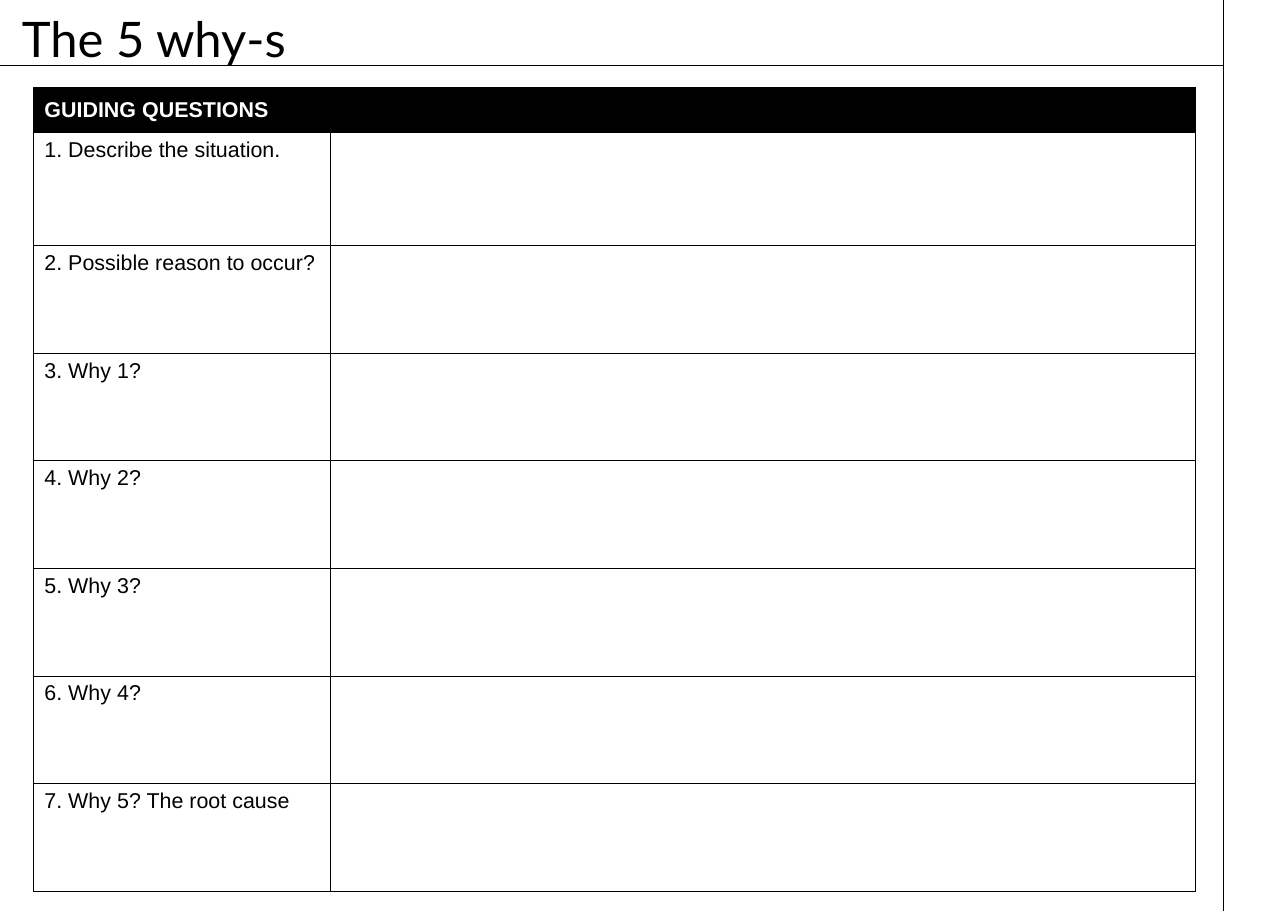
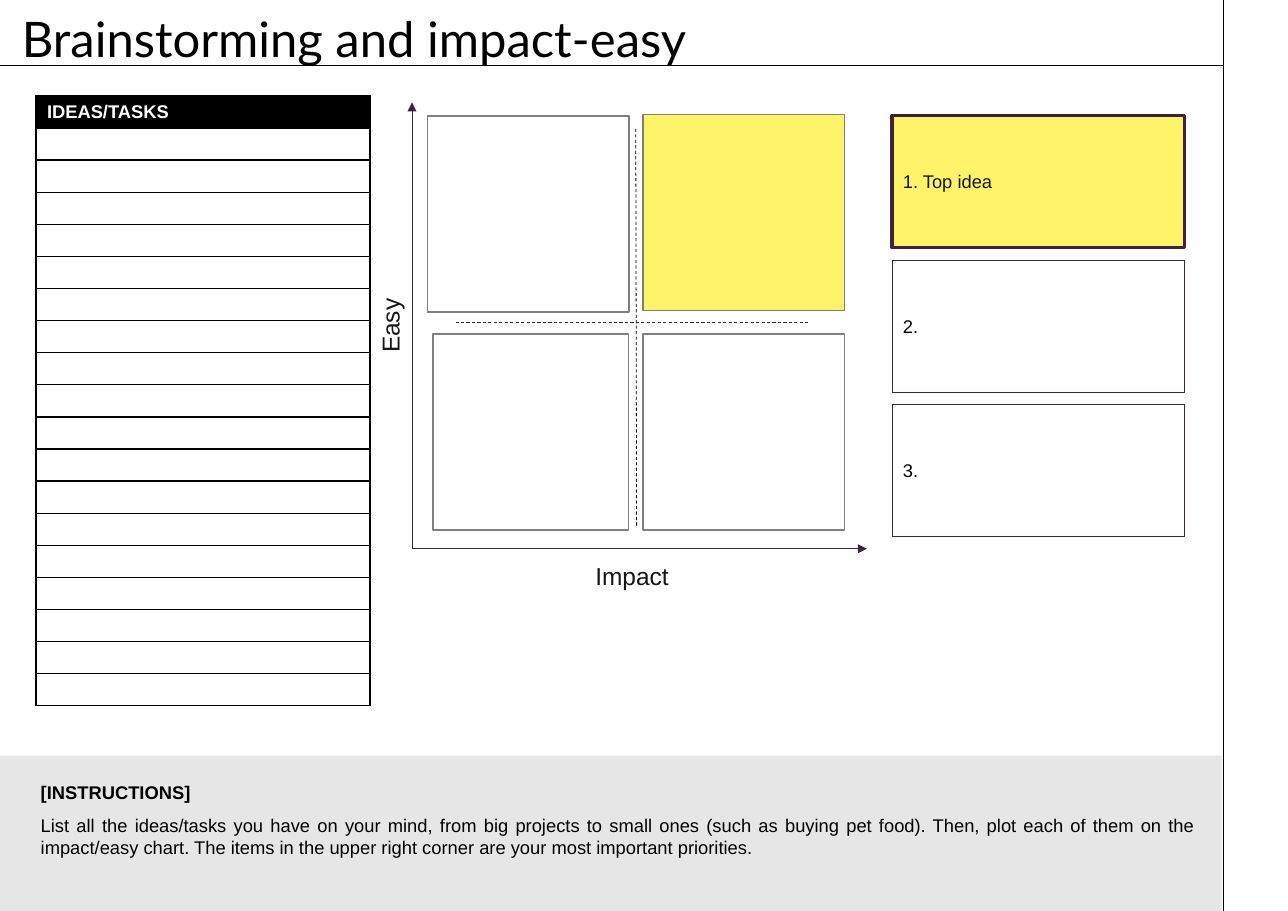
"""Builds two worksheet slides: the 5 why-s and an impact-easy chart."""
from lxml import etree
from pptx import Presentation
from pptx.dml.color import RGBColor
from pptx.enum.dml import MSO_LINE
from pptx.enum.shapes import MSO_CONNECTOR, MSO_SHAPE
from pptx.enum.text import MSO_ANCHOR, MSO_AUTO_SIZE, PP_ALIGN
from pptx.oxml.ns import qn
from pptx.util import Cm, Pt

STRAIGHT, RECT, DASH = MSO_CONNECTOR.STRAIGHT, MSO_SHAPE.RECTANGLE, MSO_LINE.DASH
TOP, MIDDLE, BOTTOM = MSO_ANCHOR.TOP, MSO_ANCHOR.MIDDLE, MSO_ANCHOR.BOTTOM
LEFT, CENTER, JUSTIFY = PP_ALIGN.LEFT, PP_ALIGN.CENTER, PP_ALIGN.JUSTIFY
NO_FIT = MSO_AUTO_SIZE.NONE

COLORS = {
    "black": "000000", "white": "FFFFFF", "ink": "181717", "plum": "3D233B",
    "yellow": "FFF469", "gray": "808080", "band": "E7E6E6",
}
SLIDE_W, SLIDE_H = 29.7, 21
RULE_X, RULE_Y = 28.2, 1.5
QUESTIONS = [
    "1. Describe the situation.", "2. Possible reason to occur?", "3. Why 1?",
    "4. Why 2?", "5. Why 3?", "6. Why 4?", "7. Why 5? The root cause",
]
IDEA_ROWS = 18
INSTRUCTIONS = (
    "List all the ideas/tasks you have on your mind, from big projects to small ones "
    "(such as buying pet food). Then, plot each of them on the impact/easy chart. "
    "The items in the upper right corner are your most important priorities."
)


def rgb(name):
    """Return the named colour."""
    return RGBColor.from_string(COLORS[name])


def write(tf, text, size, color="black", bold=False, font="Arial", anchor=TOP, **fmt):
    """Write one formatted paragraph into a text frame."""
    tf.vertical_anchor, tf.word_wrap = anchor, True
    p = tf.paragraphs[0]
    for name, value in fmt.items():
        setattr(p, name, value)
    r = p.add_run()
    r.text = text
    for name, value in {"name": font, "size": Pt(size), "bold": bold}.items():
        setattr(r.font, name, value)
    r.font.color.rgb = rgb(color)


def add_text(s, box, text, size, **fmt):
    """Add a text box and return it."""
    sp = s.shapes.add_textbox(*map(Cm, box))
    write(sp.text_frame, text, size, **fmt)
    return sp


def add_box(s, box, fill=None, line=None, width=1):
    """Add a plain rectangle and return it."""
    sp = s.shapes.add_shape(RECT, *map(Cm, box))
    sp.shadow.inherit = False
    if fill:
        sp.fill.solid()
        sp.fill.fore_color.rgb = rgb(fill)
    else:
        sp.fill.background()
    if line:
        sp.line.color.rgb = rgb(line)
        sp.line.width = Pt(width)
    else:
        sp.line.fill.background()
    return sp


def add_line(s, ends, color="black", dash=None, arrow=False):
    """Add a thin straight line and return it."""
    line = s.shapes.add_connector(STRAIGHT, *map(Cm, ends))
    line.line.color.rgb = rgb(color)
    line.line.width = Pt(0.5)
    if dash:
        line.line.dash_style = dash
    if arrow:
        etree.SubElement(line.line._get_or_add_ln(), qn("a:tailEnd"), type="triangle")
    etree.SubElement(line.element.spPr, qn("a:effectLst"))
    return line


def style_cell(cell, fill, border):
    """Give a cell its black borders and its fill."""
    tc_pr = cell._tc.get_or_add_tcPr()
    for side in ("a:lnL", "a:lnR", "a:lnT", "a:lnB"):
        ln = etree.SubElement(tc_pr, qn(side), w=str(Pt(border)))
        solid = etree.SubElement(ln, qn("a:solidFill"))
        etree.SubElement(solid, qn("a:srgbClr"), val=COLORS["black"])
    if fill:
        cell.fill.solid()
        cell.fill.fore_color.rgb = rgb(fill)
    else:
        cell.fill.background()


def add_form(s, left, top, widths, heights, labels, size, border):
    """Add a bordered table with a black header and labels in the first column."""
    frame = s.shapes.add_table(len(heights), len(widths), Cm(left), Cm(top),
                               Cm(sum(widths)), Cm(sum(heights)))
    table = frame.table
    table.horz_banding = False
    for column, width in zip(table.columns, widths):
        column.width = Cm(width)
    for i, (row, height) in enumerate(zip(table.rows, heights)):
        row.height = Cm(height)
        for j, cell in enumerate(row.cells):
            header = i == 0
            style_cell(cell, "black" if header else None, border)
            if j == 0 and i < len(labels):
                write(cell.text_frame, labels[i], size,
                      color="white" if header else "black", bold=header)
                cell.vertical_anchor = MIDDLE if header else TOP
            else:
                p = cell.text_frame.paragraphs[0]
                etree.SubElement(p._p, qn("a:endParaRPr"), sz="1000")
    if len(widths) > 1:
        table.cell(0, 0).merge(table.cell(0, len(widths) - 1))


def add_slide(prs, layout, title):
    """Add a slide with the shared title style."""
    s = prs.slides.add_slide(layout)
    tf = s.shapes.title.text_frame
    tf.auto_size = NO_FIT
    write(tf, title, 32, font="Lato", anchor=BOTTOM, alignment=LEFT, line_spacing=0.9)
    return s


def set_layout(layout, s):
    """Place the title and the two page rules on the layout."""
    title = next(ph for ph in layout.placeholders if ph.placeholder_format.idx == 0)
    title.left, title.top, title.width, title.height = map(Cm, (0.25, 0.58, 17.8, 1.12))
    rules = [(RULE_X, RULE_Y, 0, RULE_Y), (RULE_X, SLIDE_H, RULE_X, 0)]
    for number, ends in enumerate(rules, 101):
        line = add_line(s, ends)
        line.element.nvCxnSpPr.cNvPr.set("id", str(number))
        layout.shapes.element.append(line.element)


def impact_chart(s, left, top, width, height):
    """Draw the axes, dividers, quadrants and axis names."""
    bottom = top + height
    for end in [(left + width, bottom), (left, top)]:
        add_line(s, (left, bottom, *end), "plum", arrow=True)
    add_line(s, (left + 5.16, top + 0.61, left + 5.18, top + 9.78), dash=DASH)
    add_line(s, (left + 9.14, top + 5.08, left + 1.02, top + 5.08), "plum", DASH)
    quadrants = [
        (5.33, 0.28, 4.65, "yellow"), (5.33, 5.34, 4.65, "white"),
        (0.36, 0.31, 4.65, "white"), (0.48, 5.34, 4.52, "white"),
    ]
    for x, y, w, fill in quadrants:
        add_box(s, (left + x, top + y, w, 4.52), fill, "gray")
    for x, y, name, turn in [(3.45, 10.44, "Impact", 0), (-2.13, 4.68, "Easy", 270)]:
        sp = add_text(s, (left + x, top + y, 3.25, 0.94), name, 16, color="ink",
                      alignment=CENTER)
        sp.rotation = turn


def top_ideas(s, left, top, width, height, gap):
    """Stack the three ranked idea boxes."""
    ideas = [
        ("1. Top idea", "yellow", 2.25, "ink"),
        ("2.", None, 0.25, "black"), ("3.", None, 0.25, "black"),
    ]
    for i, (text, fill, line_width, color) in enumerate(ideas):
        box = (left, top + i * (height + gap), width, height)
        sp = add_box(s, box, fill, "plum", line_width)
        write(sp.text_frame, text, 12, color, anchor=MIDDLE, alignment=LEFT)


def instructions(s, left, top, width, height):
    """Draw the instruction band with its heading and text."""
    add_box(s, (left, top, width, height), "band")
    add_text(s, (left + 0.69, top + 1.22, width - 1.02, 1.27), INSTRUCTIONS, 12,
             alignment=JUSTIFY)
    add_text(s, (left + 0.69, top + 0.56, 4.47, 0.66), "[INSTRUCTIONS]", 12,
             bold=True, anchor=BOTTOM, line_spacing=0.9)


def main():
    """Build and save the presentation."""
    prs = Presentation()
    prs.slide_width, prs.slide_height = Cm(SLIDE_W), Cm(SLIDE_H)
    layout = prs.slide_layouts[5]

    s = add_slide(prs, layout, "The 5 why-s")
    set_layout(layout, s)
    add_form(s, 0.77, 2.02, [6.85, 19.95], [1.04, 2.6] + [2.48] * 6,
             ["GUIDING QUESTIONS"] + QUESTIONS, 14, 0.5)

    s = add_slide(prs, layout, "Brainstorming and impact-easy")
    top_ideas(s, 20.57, 2.66, 6.74, 3.05, 0.28)
    add_form(s, 0.83, 2.21, [7.7], [0.74] * (IDEA_ROWS + 1), ["IDEAS/TASKS"], 12, 1)
    impact_chart(s, 9.5, 2.36, 10.49, 10.29)
    instructions(s, 0, 17.42, 28.17, 3.58)
    prs.save("out.pptx")


if __name__ == "__main__":
    main()
